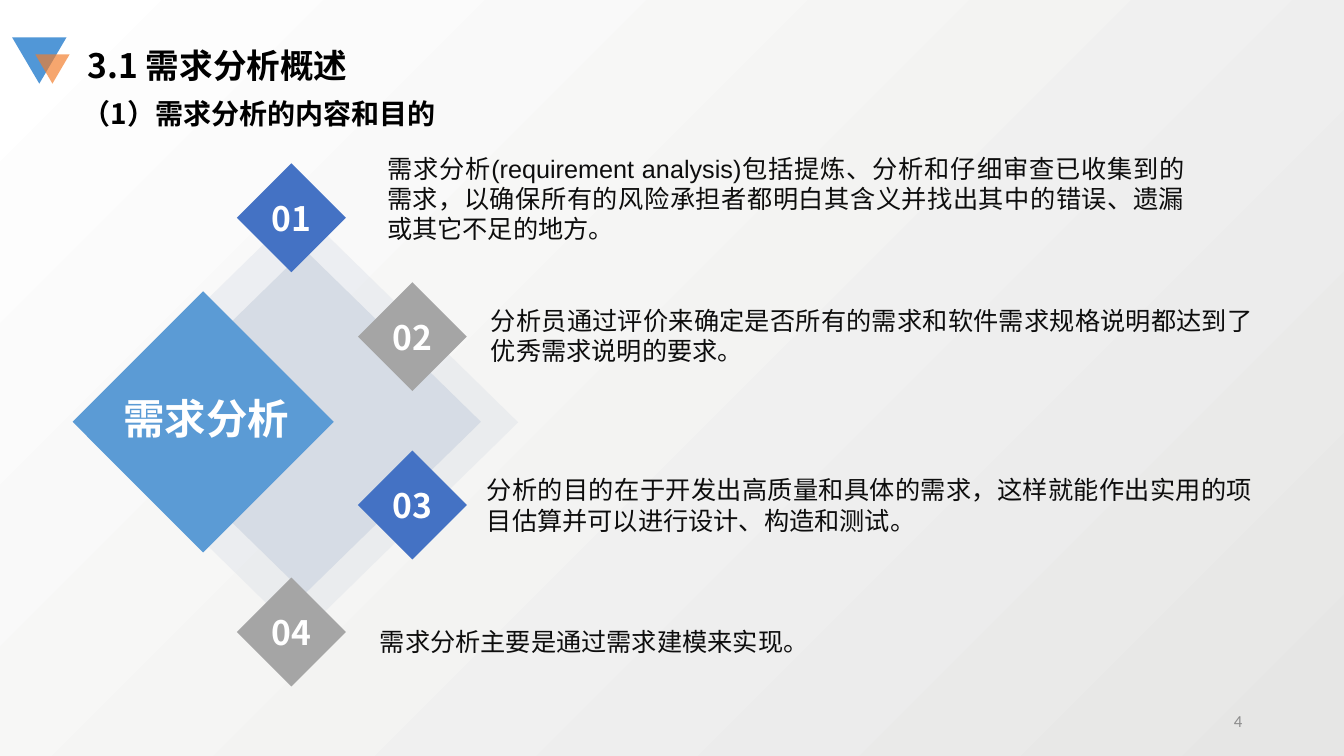
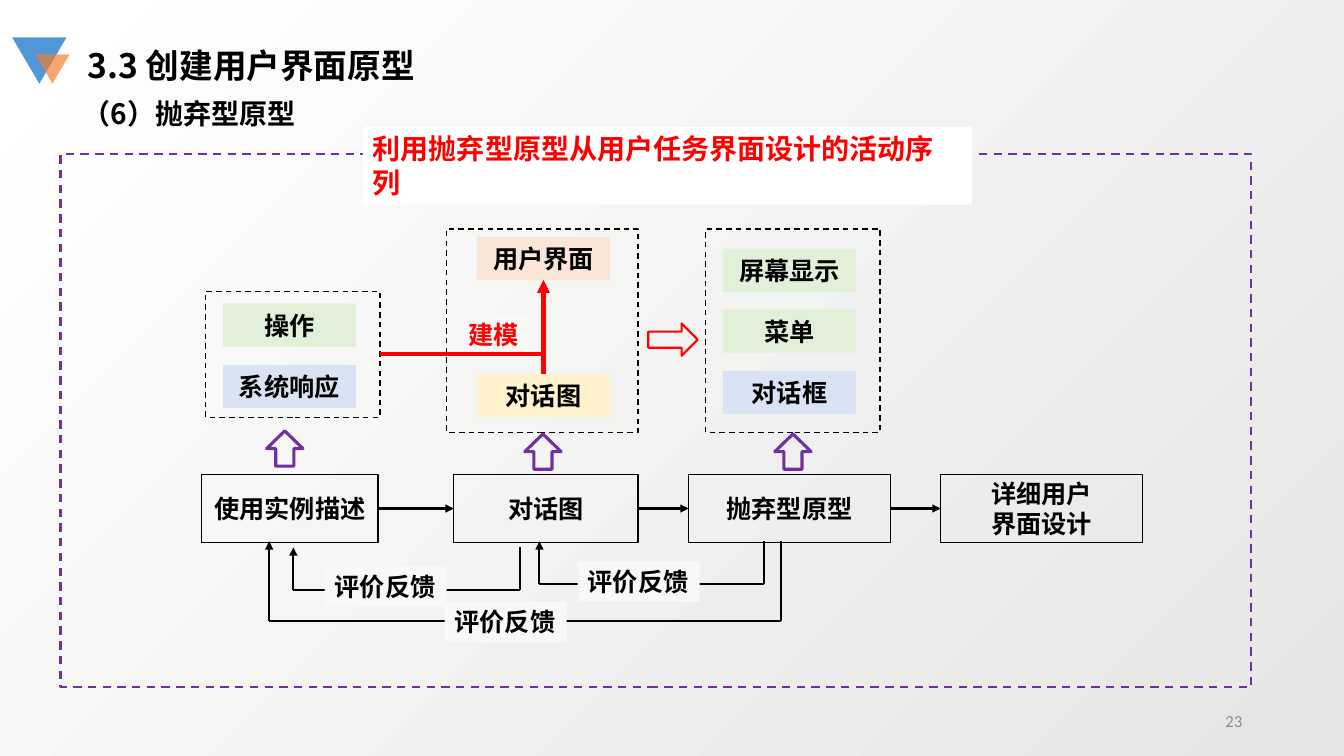
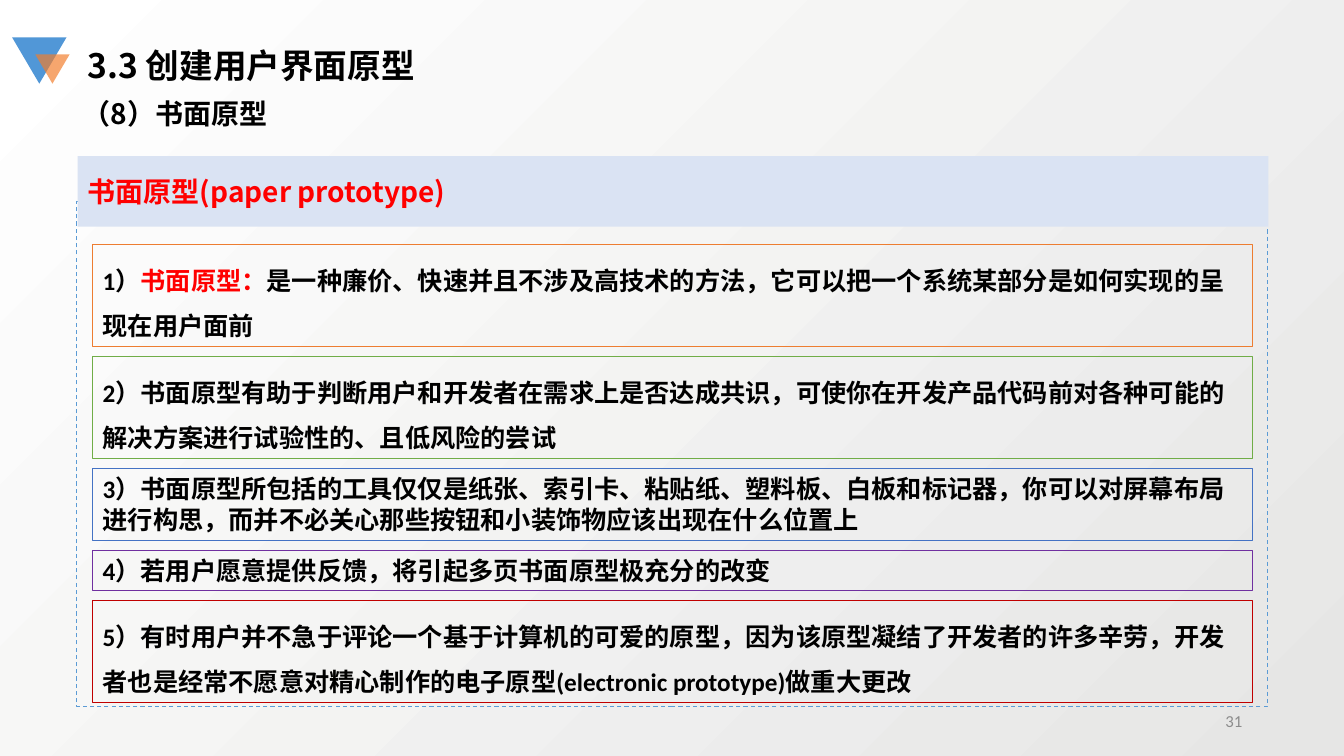
from collections import namedtuple
from dataclasses import dataclass

from lxml.etree import SubElement
from pptx import Presentation
from pptx.dml.color import RGBColor
from pptx.enum.dml import MSO_LINE
from pptx.enum.shapes import MSO_CONNECTOR, MSO_SHAPE
from pptx.enum.text import MSO_ANCHOR, MSO_AUTO_SIZE, PP_ALIGN
from pptx.oxml.ns import qn
from pptx.util import Inches, Pt


@dataclass(frozen=True)
class Theme:
    cjk: str = "Noto Sans CJK SC"
    latin: str = "Arial"
    plain: str = "Calibri"
    black: str = "000000"
    ink: str = "0D0D0D"
    white: str = "FFFFFF"
    red: str = "FF0000"
    dark_red: str = "C00000"
    purple: str = "7030A0"
    blue: str = "4472C4"
    sky: str = "5B9BD5"
    gray: str = "A5A5A5"
    orange: str = "ED7D31"
    green: str = "70AD47"
    slate: str = "D6DCE5"
    number: str = "8C8C8C"
    label: str = "F8F8F8"
    pale_green: str = "E2F0D9"
    pale_blue: str = "DAE3F3"
    pale_yellow: str = "FFF2CC"
    pale_orange: str = "FBE5D6"
    mark_blue: str = "5197D7"
    mark_orange: str = "F37D2A"
    back_dark: str = "E6E6E5"
    title: float = 24
    hero: float = 29.6
    subtitle: float = 20
    body: float = 18
    small: float = 12


THEME = Theme()


class Box(namedtuple("Box", "left top width height")):
    def at(self, left, top, width, height):
        """A box placed relative to this one."""
        return Box(self.left + left, self.top + top, width, height)

    def point(self, x, y):
        return self.left + x, self.top + y

    def inches(self):
        return [Inches(length) for length in self]


# Drawing helpers

def rgb(color):
    return RGBColor.from_string(color)


def add_shape(page, box, kind=MSO_SHAPE.RECTANGLE, fill=None, alpha=None,
              line=None, weight=1.0, dash=False, rotation=0):
    shape = page.shapes.add_shape(kind, *box.inches())
    shape.shadow.inherit = False
    shape.rotation = rotation
    if fill:
        shape.fill.solid()
        shape.fill.fore_color.rgb = rgb(fill)
        if alpha:
            color = shape.fill._xPr.find(qn("a:solidFill"))[0]
            SubElement(color, qn("a:alpha")).set("val", str(alpha * 1000))
    else:
        shape.fill.background()
    if line:
        shape.line.color.rgb = rgb(line)
        shape.line.width = Pt(weight)
        if dash:
            shape.line.dash_style = MSO_LINE.DASH
    else:
        shape.line.fill.background()
    return shape


def write(shape, text, size=THEME.body, color=THEME.black, font=THEME.cjk, bold=True,
          align=PP_ALIGN.LEFT, anchor=MSO_ANCHOR.TOP, wrap=True, grow=False, spacing=None):
    """Fill a shape; text is a string or a list of (text, colour) spans."""
    frame = shape.text_frame
    frame.word_wrap = wrap
    frame.vertical_anchor = anchor
    frame.auto_size = MSO_AUTO_SIZE.SHAPE_TO_FIT_TEXT if grow else MSO_AUTO_SIZE.NONE
    if isinstance(text, str):
        frame.text = text
    else:
        for words, span_color in text:
            span = frame.paragraphs[0].add_run()
            span.text = words
            span.font.color.rgb = rgb(span_color)
    for para in frame.paragraphs:
        para.alignment = align
        if spacing:
            para.line_spacing = spacing
        para.font.name = font
        para.font.size = Pt(size)
        para.font.bold = bold
        para.font.color.rgb = rgb(color)
        SubElement(para.font._rPr, qn("a:ea")).set("typeface", THEME.cjk)
    return shape


def add_text(page, box, text, **style):
    return write(page.shapes.add_textbox(*box.inches()), text, **style)


def add_centred(page, box, text, size=THEME.body, color=THEME.black, **look):
    return write(add_shape(page, box, **look), text, size, color, align=PP_ALIGN.CENTER,
                 anchor=MSO_ANCHOR.MIDDLE, wrap=False)


def add_label(page, box, text, color=THEME.black):
    return write(add_shape(page, box, fill=THEME.label), text, color=color,
                 wrap=False, grow=True)


def add_line(page, start, end, color=THEME.black, weight=1.5, arrow=False,
             kind=MSO_CONNECTOR.STRAIGHT):
    line = page.shapes.add_connector(kind, *[Inches(length) for length in (*start, *end)])
    line.line.color.rgb = rgb(color)
    line.line.width = Pt(weight)
    if arrow:
        SubElement(line.line._get_or_add_ln(), qn("a:tailEnd")).set("type", "triangle")
    SubElement(line._element.spPr, qn("a:effectLst"))
    return line


def join(page, source, source_side, target, target_side, **look):
    line = add_line(page, (0, 0), (1, 1), arrow=True, **look)
    line.begin_connect(source, source_side)
    line.end_connect(target, target_side)
    return line


# Shared parts

def set_background(deck):
    fill = deck.slide_master.background.fill
    fill.gradient()
    fill.gradient_angle = 135
    for stop, color in zip(fill.gradient_stops, (THEME.back_dark, THEME.white)):
        stop.color.rgb = rgb(color)


def add_corner_mark(page, box):
    """Draw the two triangles and hand them to the layout, so every page shows them."""
    layout = page.slide_layout
    for holder in list(layout.placeholders):
        if holder.placeholder_format.idx:
            holder._element.getparent().remove(holder._element)
    for part, color, alpha in (
        (box.at(0, 0, 0.54, 0.46), THEME.mark_blue, None),
        (box.at(0.23, 0.17, 0.34, 0.29), THEME.mark_orange, 68),
    ):
        triangle = add_shape(page, part, MSO_SHAPE.ISOSCELES_TRIANGLE, color, alpha,
                             rotation=180)
        layout.shapes._spTree.append(triangle._element)


def add_page(deck, title, subtitle, number):
    page = deck.slides.add_slide(deck.slide_layouts[5])
    heading = page.shapes.title
    heading.left, heading.top, heading.width, heading.height = Box(0.77, 0.4, 3.53, 0.5).inches()
    write(heading, title, THEME.title, grow=True)
    add_text(page, Box(0.72, 0.91, 8.49, 0.44), subtitle, size=THEME.subtitle, grow=True)
    add_text(page, Box(9.42, 6.95, 3, 0.4), number, size=THEME.small, color=THEME.number,
             font=THEME.plain, bold=False, align=PP_ALIGN.RIGHT, anchor=MSO_ANCHOR.MIDDLE)
    return page


# Overview: diamonds with four statements

def add_overview(page, box):
    diamond = MSO_SHAPE.DIAMOND
    add_shape(page, box.at(0.09, 0.6, 4.33, 4.24), diamond, THEME.slate, alpha=35)
    add_shape(page, box.at(0.56, 1.01, 3.49, 3.41), diamond, THEME.slate)
    add_shape(page, box.at(0, 1.42, 2.59, 2.59), diamond, THEME.sky)
    hero = add_text(page, box.at(0.48, 2.43, 1.69, 0.63), "需求分析", size=THEME.hero,
                    color=THEME.white, align=PP_ALIGN.CENTER)
    frame = hero.text_frame
    frame.margin_left = frame.margin_right = frame.margin_top = frame.margin_bottom = 0

    statements = (
        ((1.63, 0.15), (3.02, 0, 8.11, 1.01),
         "需求分析(requirement analysis)包括提炼、分析和仔细审查已收集到的需求，"
         "以确保所有的风险承担者都明白其含义并找出其中的错误、遗漏或其它不足的地方。"),
        ((2.83, 1.33), (4.05, 1.51, 7.76, 0.71),
         "分析员通过评价来确定是否所有的需求和软件需求规格说明都达到了优秀需求说明的要求。"),
        ((2.83, 3), (4.01, 3.19, 7.79, 0.71),
         "分析的目的在于开发出高质量和具体的需求，这样就能作出实用的项目估算并可以进行设计、构造和测试。"),
        ((1.63, 4.26), (2.95, 4.69, 7.76, 0.4), "需求分析主要是通过需求建模来实现。"),
    )
    for index, (badge, place, text) in enumerate(statements):
        add_centred(page, box.at(*badge, 1.08, 1.08), f"{index + 1:02}", THEME.title,
                    THEME.white, kind=diamond, fill=(THEME.blue, THEME.gray)[index % 2])
        add_text(page, box.at(*place), text, color=THEME.ink, font=THEME.latin, bold=False,
                 align=PP_ALIGN.JUSTIFY, grow=True)


# Throwaway prototype: process row, feedback loops and models

def add_process(page, box):
    steps = [
        add_centred(page, box.at(left, 0, width, 0.67), text, line=THEME.black)
        for left, width, text in (
            (0, 1.75, "使用实例描述"), (2.5, 1.83, "对话图"),
            (4.83, 2, "抛弃型原型"), (7.33, 2, "详细用户\n界面设计"),
        )
    ]
    for step, following in zip(steps, steps[1:]):
        join(page, step, 3, following, 1)

    for start, end, top, bottom, label in (
        (5.58, 3.35, 0.66, 1.08, (3.73, 0.86)),
        (5.75, 0.67, 0.66, 1.45, (2.41, 1.26)),
        (3.16, 0.91, 0.72, 1.14, (1.22, 0.91)),
    ):
        corners = [box.point(*corner) for corner in
                   ((start, top), (start, bottom), (end, bottom), (end, top))]
        for index in range(3):
            add_line(page, corners[index], corners[index + 1], arrow=index == 2)
        add_label(page, box.at(*label, 1.21, 0.4), "评价反馈")


def add_models(page, box):
    panels = (
        ((0, 0.62, 1.73, 1.25), 0.17,
         (("操作", THEME.pale_green, 0.12), ("系统响应", THEME.pale_blue, 0.73))),
        ((2.39, 0, 1.9, 2.02), 0.3,
         (("用户界面", THEME.pale_orange, 0.08), ("对话图", THEME.pale_yellow, 1.44))),
        ((4.96, 0, 1.73, 2.02), 0.17,
         (("屏幕显示", THEME.pale_green, 0.2), ("菜单", THEME.pale_green, 0.8),
          ("对话框", THEME.pale_blue, 1.41))),
    )
    frames, chips = [], {}
    for place, inset, entries in panels:
        panel = box.at(*place)
        frames.append(add_shape(page, panel, line=THEME.black, dash=True))
        for text, color, top in entries:
            chips[text] = add_centred(page, panel.at(inset, top, 1.32, 0.43), text, fill=color)

    # Modelling arrows
    add_label(page, box.at(2.51, 0.85, 0.7, 0.4), "建模", THEME.red)
    red = dict(color=THEME.red, weight=3)
    elbow = join(page, frames[0], 3, chips["用户界面"], 2, kind=MSO_CONNECTOR.ELBOW, **red)
    elbow._element.spPr.find(qn("a:prstGeom")).set("prst", "bentConnector2")
    join(page, chips["对话图"], 0, chips["用户界面"], 2, **red)

    # Block arrows
    add_shape(page, box.at(4.39, 0.94, 0.49, 0.32), MSO_SHAPE.RIGHT_ARROW,
              line=THEME.red, weight=1.5)
    for left, top in ((0.61, 2), (3.17, 2.03), (5.65, 2.03)):
        add_shape(page, box.at(left, top, 0.35, 0.36), MSO_SHAPE.RIGHT_ARROW,
                  line=THEME.purple, weight=2.25, rotation=270)


def add_throwaway(page, box):
    add_shape(page, box, line=THEME.purple, weight=1.5, dash=True)
    banner = add_shape(page, box.at(3, -0.27, 6.04, 0.77), fill=THEME.white)
    write(banner, "利用抛弃型原型从用户任务界面设计的活动序列", THEME.subtitle, THEME.red, grow=True)
    add_process(page, box.at(1.4, 3.18, 9.33, 1.66))
    add_models(page, box.at(1.44, 0.74, 6.69, 2.39))


# Paper prototype: banner and stacked cards

def add_paper(page, box):
    add_shape(page, box.at(0, 0.45, box.width, box.height - 0.45), line=THEME.sky,
              weight=0.75, dash=True)
    banner = add_shape(page, box.at(0.01, 0, box.width, 0.7), fill=THEME.pale_blue)
    write(banner, "书面原型(paper prototype)", THEME.subtitle, THEME.red,
          anchor=MSO_ANCHOR.MIDDLE)

    cards = (
        (1.01, 1.5, THEME.orange,
         [("1）", THEME.black), ("书面原型：", THEME.red),
          ("是一种廉价、快速并且不涉及高技术的方法，它可以把一个系统某部分是如何实现的呈现在用户面前",
           THEME.black)]),
        (1.01, 1.5, THEME.green,
         "2）书面原型有助于判断用户和开发者在需求上是否达成共识，"
         "可使你在开发产品代码前对各种可能的解决方案进行试验性的、且低风险的尝试"),
        (0.71, None, THEME.blue,
         "3）书面原型所包括的工具仅仅是纸张、索引卡、粘贴纸、塑料板、白板和标记器，"
         "你可以对屏幕布局进行构思，而并不必关心那些按钮和小装饰物应该出现在什么位置上"),
        (0.4, None, THEME.purple, "4）若用户愿意提供反馈，将引起多页书面原型极充分的改变"),
        (1.01, 1.5, THEME.dark_red,
         "5）有时用户并不急于评论一个基于计算机的可爱的原型，因为该原型凝结了开发者的许多辛劳，"
         "开发者也是经常不愿意对精心制作的电子原型(electronic prototype)做重大更改"),
    )
    top, gap = 0.88, 0.1
    for height, spacing, color, text in cards:
        card = add_shape(page, box.at(0.16, top, 11.5, height), line=color, weight=0.75)
        write(card, text, font=THEME.plain, spacing=spacing, grow=True)
        top += height + gap


def main():
    deck = Presentation()
    deck.slide_width, deck.slide_height = Inches(13.33), Inches(7.5)
    set_background(deck)

    overview = add_page(deck, "3.1 需求分析概述", "（1）需求分析的内容和目的", "4")
    add_corner_mark(overview, Box(0.12, 0.37, 0.57, 0.46))
    add_overview(overview, Box(0.72, 1.47, 11.81, 5.34))

    throwaway = add_page(deck, "3.3 创建用户界面原型", "（6）抛弃型原型", "23")
    add_throwaway(throwaway, Box(0.6, 1.53, 11.81, 5.29))

    paper = add_page(deck, "3.3 创建用户界面原型", "（8）书面原型", "31")
    add_paper(paper, Box(0.76, 1.55, 11.81, 5.46))

    deck.save("out.pptx")


if __name__ == "__main__":
    main()
